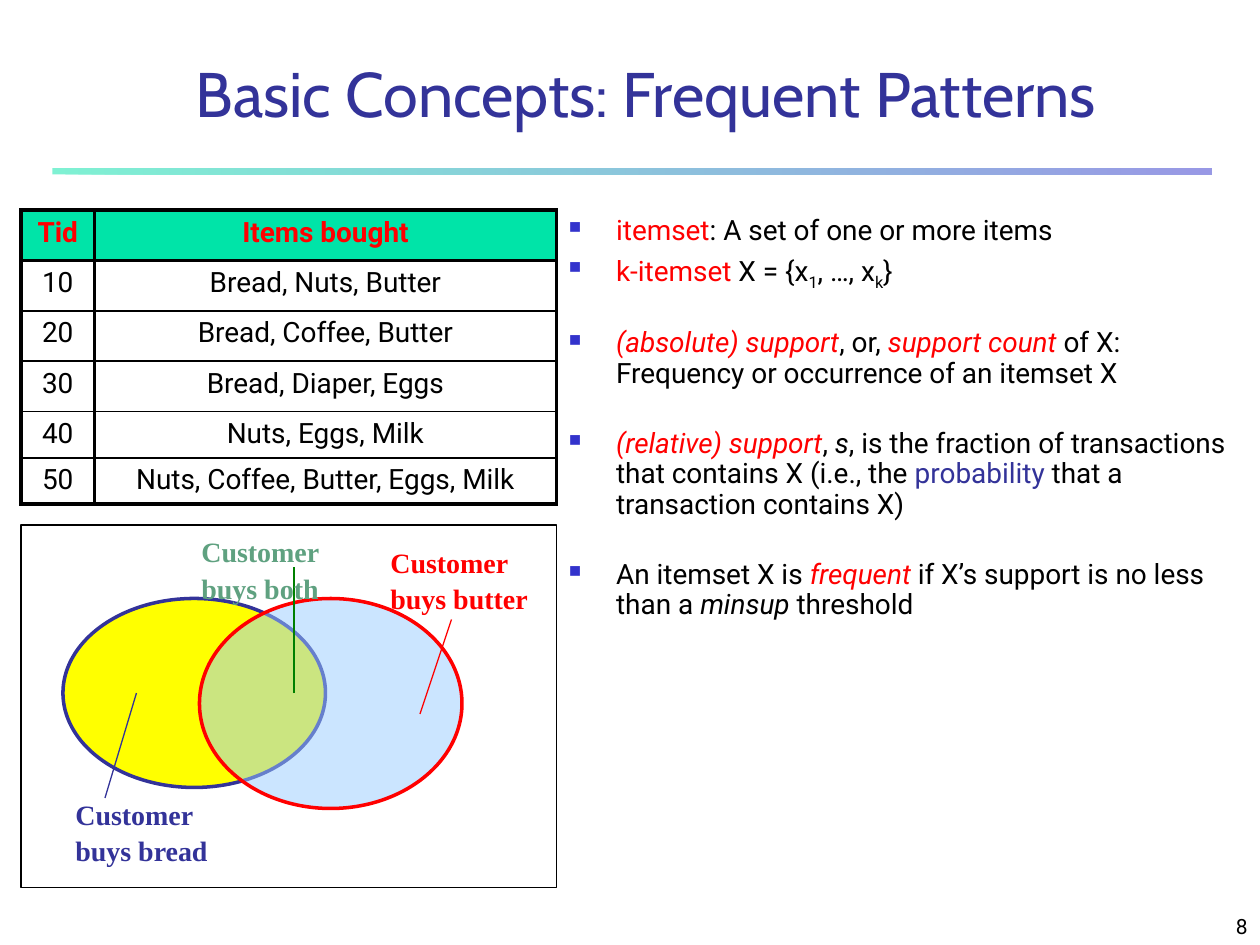
from typing import NamedTuple

from lxml import etree
from pptx import Presentation
from pptx.dml.color import RGBColor
from pptx.enum.shapes import MSO_CONNECTOR, MSO_SHAPE
from pptx.enum.text import MSO_ANCHOR, PP_ALIGN
from pptx.oxml.ns import qn
from pptx.util import Pt

EMU_PER_PX = 7620  # 120 px to the inch
RECT, OVAL = MSO_SHAPE.RECTANGLE, MSO_SHAPE.OVAL
STRAIGHT = MSO_CONNECTOR.STRAIGHT
CENTER, RIGHT, LEFT = PP_ALIGN.CENTER, PP_ALIGN.RIGHT, PP_ALIGN.LEFT
TOP, BOTTOM = MSO_ANCHOR.TOP, MSO_ANCHOR.BOTTOM
SANS, SERIF, HEADING = "Roboto", "Times New Roman", "Cabin"
COLORS = {
    "black": "000000", "red": "FF0000", "navy": "333399", "blue": "3333CC",
    "mint": "00E4A8", "yellow": "FFFF00", "sky": "99CCFF",
    "sage": "5FA180", "green": "008000",
}


class Box(NamedTuple):
    x: int
    y: int
    w: int
    h: int


class Span(NamedTuple):
    text: str
    color: str = "black"
    italic: bool = False
    subscript: bool = False


class Bullet(NamedTuple):
    spans: list[Span]
    space_before: float


class Circle(NamedTuple):
    box: Box
    fill: str
    line: str
    alpha: int


class Label(NamedTuple):
    lines: str
    box: Box
    color: str


class Pointer(NamedTuple):
    start: tuple[int, int]
    end: tuple[int, int]
    color: str


CLOSE, APART = 4.5, 23
BULLETS = [
    Bullet([Span("itemset", "red"), Span(": A set of one or more items")], CLOSE),
    Bullet([Span("k-itemset", "red"), Span(" X = {x"), Span("1", subscript=True),
            Span(", …, x"), Span("k", subscript=True), Span("}")], CLOSE),
    Bullet([Span("(absolute) support", "red", True), Span(", or, "),
            Span("support count", "red", True),
            Span(" of X: Frequency or occurrence of an itemset X")], APART),
    Bullet([Span("(relative) support", "red", True), Span(", "), Span("s", italic=True),
            Span(", is the fraction of transactions that contains X (i.e., the "),
            Span("probability", "navy"), Span(" that a transaction contains X)")], APART),
    Bullet([Span("An itemset X is "), Span("frequent", "red", True),
            Span(" if X’s support is no less than a "), Span("minsup", italic=True),
            Span(" threshold")], APART),
]
CIRCLES = [
    Circle(Box(60, 570, 250, 180), "yellow", "navy", 100),
    Circle(Box(190, 570, 250, 200), "sky", "red", 50),
]
POINTERS = [
    Pointer((130, 660), (100, 760), "navy"),
    Pointer((400, 680), (430, 590), "red"),
    Pointer((280, 660), (280, 540), "green"),
]
LABELS = [
    Label("Customer\nbuys butter", Box(360, 510, 160, 80), "red"),
    Label("Customer\nbuys both", Box(180, 500, 160, 83), "sage"),
    Label("Customer\nbuys bread", Box(60, 750, 160, 83), "navy"),
]
ROWS = [
    ("Tid", "Items bought"),
    ("10", "Bread, Nuts, Butter"),
    ("20", "Bread, Coffee, Butter"),
    ("30", "Bread, Diaper, Eggs"),
    ("40", "Nuts, Eggs, Milk"),
    ("50", "Nuts, Coffee, Butter, Eggs, Milk"),
]
COL_WIDTHS = (70, 440)
ROW_HEIGHTS = (48, 48, 48, 48, 44, 44)
THICK, THIN = 2.25, 1


def px(n: int) -> int:
    return n * EMU_PER_PX


def emu(box: Box) -> list[int]:
    return [px(n) for n in box]


def rgb(name: str) -> RGBColor:
    return RGBColor.from_string(COLORS[name])


def set_font(font, name: str, size: int, color: str, bold: bool = False) -> None:
    font.name, font.size, font.bold = name, Pt(size), bold
    font.color.rgb = rgb(color)


def set_alpha(fill_element, percent: int) -> None:
    for clr in fill_element.iter(qn("a:srgbClr")):
        etree.SubElement(clr, qn("a:alpha"), val=str(percent * 1000))


def add_text(slide, text: str, box: Box, font: str, size: int, color: str, bold: bool = False,
             align=LEFT, anchor=TOP, spacing: float = 1.0) -> None:
    tf = slide.shapes.add_textbox(*emu(box)).text_frame
    tf.word_wrap, tf.vertical_anchor = True, anchor
    tf.text = text
    for p in tf.paragraphs:
        p.alignment, p.line_spacing = align, spacing
        set_font(p.runs[0].font, font, size, color, bold)


def add_rule(slide, box: Box) -> None:
    sp = slide.shapes.add_shape(RECT, *emu(box))
    sp.shadow.inherit = False
    sp.line.fill.background()
    sp.fill.gradient()
    sp.fill.gradient_angle = 0
    for stop, color in zip(sp.fill.gradient_stops, ("mint", "blue")):
        stop.color.rgb = rgb(color)
    set_alpha(sp._element.spPr.find(qn("a:gradFill")), 50)


def add_bullets(slide, box: Box) -> None:
    tf = slide.shapes.add_textbox(*emu(box)).text_frame
    tf.word_wrap = True
    for i, bullet in enumerate(BULLETS):
        p = tf.add_paragraph() if i else tf.paragraphs[0]
        p.line_spacing, p.space_before = 0.9, Pt(bullet.space_before)
        pPr = p._p.get_or_add_pPr()
        pPr.set("marL", str(px(45)))
        pPr.set("indent", str(px(-45)))
        clr = etree.SubElement(pPr, qn("a:buClr"))
        etree.SubElement(clr, qn("a:srgbClr"), val=COLORS["blue"])
        etree.SubElement(pPr, qn("a:buSzPct"), val="60000")
        etree.SubElement(pPr, qn("a:buChar"), char="■")
        for span in bullet.spans:
            r = p.add_run()
            r.text = span.text
            set_font(r.font, SANS, 16, span.color)
            r.font.italic = span.italic
            if span.subscript:
                r._r.get_or_add_rPr().set("baseline", "-25000")


def add_circle(slide, circle: Circle) -> None:
    sp = slide.shapes.add_shape(OVAL, *emu(circle.box))
    sp.shadow.inherit = False
    sp.fill.solid()
    sp.fill.fore_color.rgb = rgb(circle.fill)
    if circle.alpha < 100:
        set_alpha(sp._element.spPr.find(qn("a:solidFill")), circle.alpha)
    sp.line.color.rgb, sp.line.width = rgb(circle.line), Pt(2)


def add_pointer(slide, pointer: Pointer) -> None:
    ends = [px(n) for n in pointer.start + pointer.end]
    line = slide.shapes.add_connector(STRAIGHT, *ends)
    line.line.color.rgb, line.line.width = rgb(pointer.color), Pt(0.75)
    etree.SubElement(line._element.spPr, qn("a:effectLst"))


def add_frame(slide, box: Box) -> None:
    sp = slide.shapes.add_shape(RECT, *emu(box))
    sp.shadow.inherit = False
    sp.fill.background()
    sp.line.color.rgb, sp.line.width = rgb("black"), Pt(0.75)


def set_borders(cell, top: float, bottom: float) -> None:
    tcPr = cell._tc.get_or_add_tcPr()
    for side, width in (("L", THICK), ("R", THICK), ("T", top), ("B", bottom)):
        ln = etree.SubElement(tcPr, qn(f"a:ln{side}"), w=str(Pt(width)))
        fill = etree.SubElement(ln, qn("a:solidFill"))
        etree.SubElement(fill, qn("a:srgbClr"), val=COLORS["black"])


def add_transactions(slide, x: int, y: int) -> None:
    box = Box(x, y, sum(COL_WIDTHS), sum(ROW_HEIGHTS))
    table = slide.shapes.add_table(len(ROWS), len(COL_WIDTHS), *emu(box)).table
    table.first_row = table.horz_banding = False
    for col, width in zip(table.columns, COL_WIDTHS):
        col.width = px(width)
    edges = [THICK, THICK] + [THIN] * (len(ROWS) - 2) + [THICK]
    for i, (values, height) in enumerate(zip(ROWS, ROW_HEIGHTS)):
        table.rows[i].height = px(height)
        header = i == 0
        for cell, value in zip(table.rows[i].cells, values):
            set_borders(cell, edges[i], edges[i + 1])
            if header:
                cell.fill.solid()
                cell.fill.fore_color.rgb = rgb("mint")
            else:
                cell.fill.background()
            cell.text_frame.text = value
            p = cell.text_frame.paragraphs[0]
            p.alignment, p.space_before = CENTER, Pt(3.2)
            set_font(p.runs[0].font, SANS, 16, "red" if header else "black", header)


def main() -> None:
    prs = Presentation()
    prs.slide_width, prs.slide_height = px(1200), px(900)
    slide = prs.slides.add_slide(prs.slide_layouts[6])
    add_rule(slide, Box(50, 160, 1104, 6))
    add_text(slide, "8", Box(950, 850, 250, 50), SANS, 12, "black", align=RIGHT, anchor=BOTTOM)
    add_text(slide, "Basic Concepts: Frequent Patterns", Box(90, 30, 1050, 100),
             HEADING, 36, "navy", align=CENTER, anchor=BOTTOM)
    add_bullets(slide, Box(530, 200, 650, 650))
    for circle in CIRCLES:
        add_circle(slide, circle)
    for pointer in POINTERS:
        add_pointer(slide, pointer)
    for label in LABELS:
        add_text(slide, label.lines, label.box, SERIF, 16, label.color, bold=True, spacing=1.1)
    add_frame(slide, Box(20, 500, 510, 345))
    add_transactions(slide, 20, 200)
    prs.save("out.pptx")


if __name__ == "__main__":
    main()
